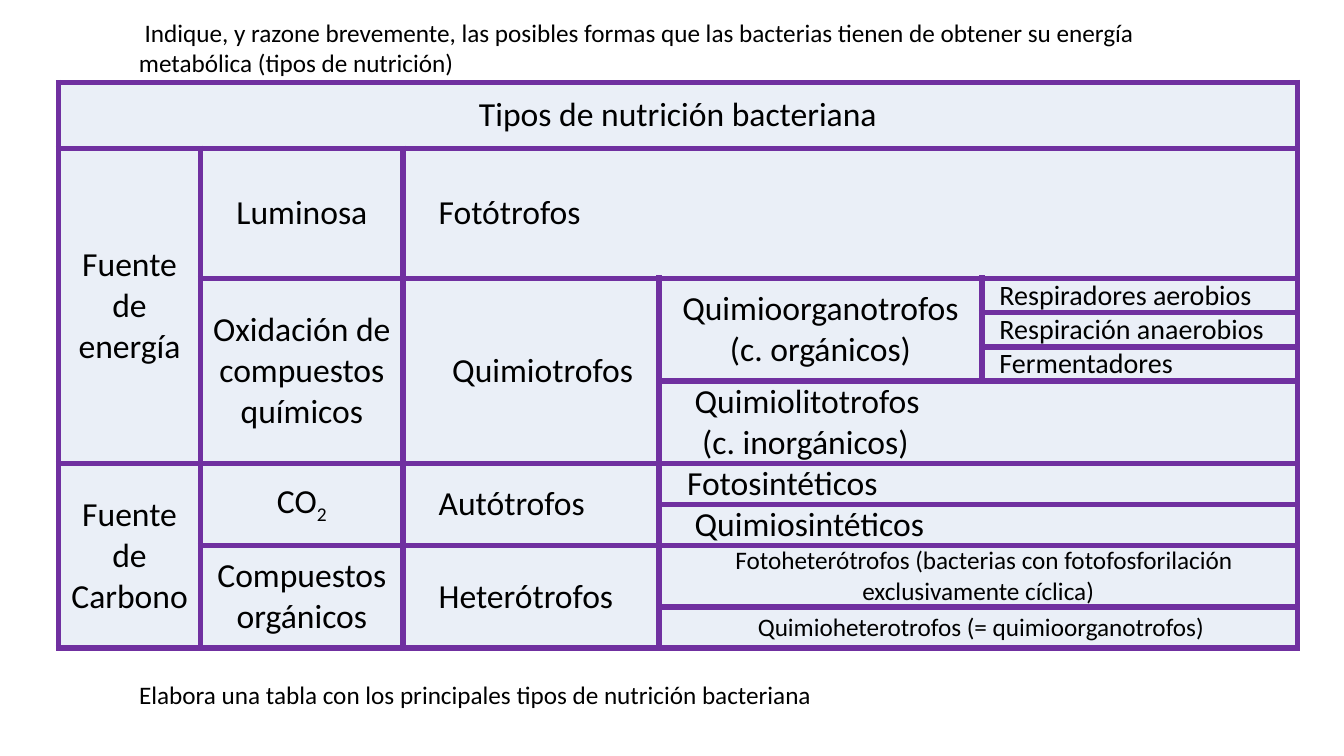
"""Build a slide with a table of the types of bacterial nutrition."""
import pptx
import pptx.dml.color
import pptx.enum.text
import pptx.oxml
import pptx.oxml.ns
import pptx.util

Pt = pptx.util.Pt
CENTER = pptx.enum.text.PP_ALIGN.CENTER
LEFT = pptx.enum.text.PP_ALIGN.LEFT

THEME = {
    "font": "Calibri", "text": "000000", "cell": "EAEFF7", "border": "7030A0",
    "border_width": 4.5, "large": 24, "medium": 20, "small": 18,
}
SLIDE_SIZE = (960, 540)
TABLE_ORIGIN = (41.8, 59)
COLUMN_WIDTHS = (101.5, 144.7, 182.9, 230.4, 225.4)
ROW_HEIGHTS = (47, 92.8, 24.5, 24.5, 24.5, 58.6, 29.3, 29.3, 44, 29.3)
CELL_MARGIN = 3.6

CENTERED = {"align": CENTER}
INDENTED = {"indents": (21.7,)}
RESPIRATION = {"size": THEME["medium"], "indents": (9,)}

CELLS = [
    (0, 0, 1, 5, ["Tipos de nutrición bacteriana"], {"align": CENTER, "before": 12, "after": 3}),
    (1, 0, 5, 1, ["Fuente de energía"], CENTERED),
    (1, 1, 1, 1, ["Luminosa"], CENTERED),
    (1, 2, 1, 3, ["Fotótrofos"], INDENTED),
    (2, 1, 4, 1, ["Oxidación de compuestos químicos"], CENTERED),
    (2, 2, 4, 1, ["Quimiotrofos"], {"align": CENTER, "indents": (16.3,)}),
    (2, 3, 3, 1, ["Quimioorganotrofos", "(c. orgánicos)"], CENTERED),
    (2, 4, 1, 1, ["Respiradores aerobios"], RESPIRATION),
    (3, 4, 1, 1, ["Respiración anaerobios"], RESPIRATION),
    (4, 4, 1, 1, ["Fermentadores"], RESPIRATION),
    (5, 3, 1, 2, ["Quimiolitotrofos", "(c. inorgánicos)"], {"indents": (21.7, 27.1)}),
    (6, 0, 4, 1, ["Fuente de Carbono"], CENTERED),
    (6, 1, 2, 1, [("CO", "2")], CENTERED),
    (6, 2, 2, 1, ["Autótrofos"], INDENTED),
    (6, 3, 1, 2, ["Fotosintéticos"], {"indents": (16.3,)}),
    (7, 3, 1, 2, ["Quimiosintéticos"], INDENTED),
    (8, 1, 2, 1, ["Compuestos", "orgánicos"], CENTERED),
    (8, 2, 2, 1, ["Heterótrofos"], INDENTED),
    (8, 3, 1, 2, ["Fotoheterótrofos (bacterias con fotofosforilación exclusivamente cíclica)"],
     {"size": THEME["small"], "align": CENTER, "first_line": 8.1}),
    (9, 3, 1, 2, ["Quimioheterotrofos (= quimioorganotrofos)"],
     {"size": THEME["small"], "align": CENTER, "indents": (4,)}),
]

NOTES = [
    ((92.2, 8.6, 784, 51),
     "Indique, y razone brevemente, las posibles formas que las bacterias tienen de obtener "
     "su energía metabólica (tipos de nutrición)", True, 4),
    ((92.2, 481.7, 500.4, 29),
     "Elabora una tabla con los principales tipos de nutrición bacteriana", False, 0),
]


def color(name):
    return pptx.dml.color.RGBColor.from_string(THEME[name])


def write_text(frame, lines, size=THEME["large"], align=LEFT, indents=(0,), first_line=0,
               before=0, after=0):
    """Write one paragraph per line; a tuple holds a base and its subscript."""
    for index, line in enumerate(lines):
        paragraph = frame.paragraphs[0] if index == 0 else frame.add_paragraph()
        paragraph.alignment = align
        paragraph.space_before, paragraph.space_after = Pt(before), Pt(after)
        properties = paragraph._p.get_or_add_pPr()
        properties.set("marL", str(Pt(indents[index % len(indents)])))
        properties.set("indent", str(Pt(first_line)))
        pieces = (line,) if isinstance(line, str) else line
        for position, piece in enumerate(pieces):
            run = paragraph.add_run()
            run.text = piece
            run.font.size = Pt(size)
            run.font.name = THEME["font"]
            run.font.color.rgb = color("text")
            if position:
                run.font._element.set("baseline", "-25000")


def style_cell(cell):
    cell.fill.solid()
    cell.fill.fore_color.rgb = color("cell")
    cell.vertical_anchor = pptx.enum.text.MSO_ANCHOR.MIDDLE
    cell.margin_left = cell.margin_right = Pt(CELL_MARGIN)
    cell.margin_top = cell.margin_bottom = 0
    properties = cell._tc.get_or_add_tcPr()
    for index, side in enumerate(("lnL", "lnR", "lnT", "lnB")):
        properties.insert(index, pptx.oxml.parse_xml(
            f'<a:{side} {pptx.oxml.ns.nsdecls("a")} w="{Pt(THEME["border_width"])}">'
            f'<a:solidFill><a:srgbClr val="{THEME["border"]}"/></a:solidFill></a:{side}>'))


def add_nutrition_table(slide):
    frame = slide.shapes.add_table(
        len(ROW_HEIGHTS), len(COLUMN_WIDTHS), *map(Pt, TABLE_ORIGIN),
        Pt(sum(COLUMN_WIDTHS)), Pt(sum(ROW_HEIGHTS)))
    table = frame.table
    table.first_row = table.horz_banding = False
    for column, width in zip(table.columns, COLUMN_WIDTHS):
        column.width = Pt(width)
    for row, height in zip(table.rows, ROW_HEIGHTS):
        row.height = Pt(height)
    for cell in table.iter_cells():
        style_cell(cell)
    for row, column, row_span, column_span, lines, text_format in CELLS:
        cell = table.cell(row, column)
        if row_span * column_span > 1:
            cell.merge(table.cell(row + row_span - 1, column + column_span - 1))
        write_text(cell.text_frame, lines, **text_format)


def main():
    presentation = pptx.Presentation()
    presentation.slide_width, presentation.slide_height = map(Pt, SLIDE_SIZE)
    slide = presentation.slides.add_slide(presentation.slide_layouts[6])
    add_nutrition_table(slide)
    for bounds, text, wraps, first_line in NOTES:
        frame = slide.shapes.add_textbox(*map(Pt, bounds)).text_frame
        frame.word_wrap = wraps
        write_text(frame, [text], size=THEME["small"], first_line=first_line)
    presentation.save("out.pptx")


if __name__ == "__main__":
    main()
